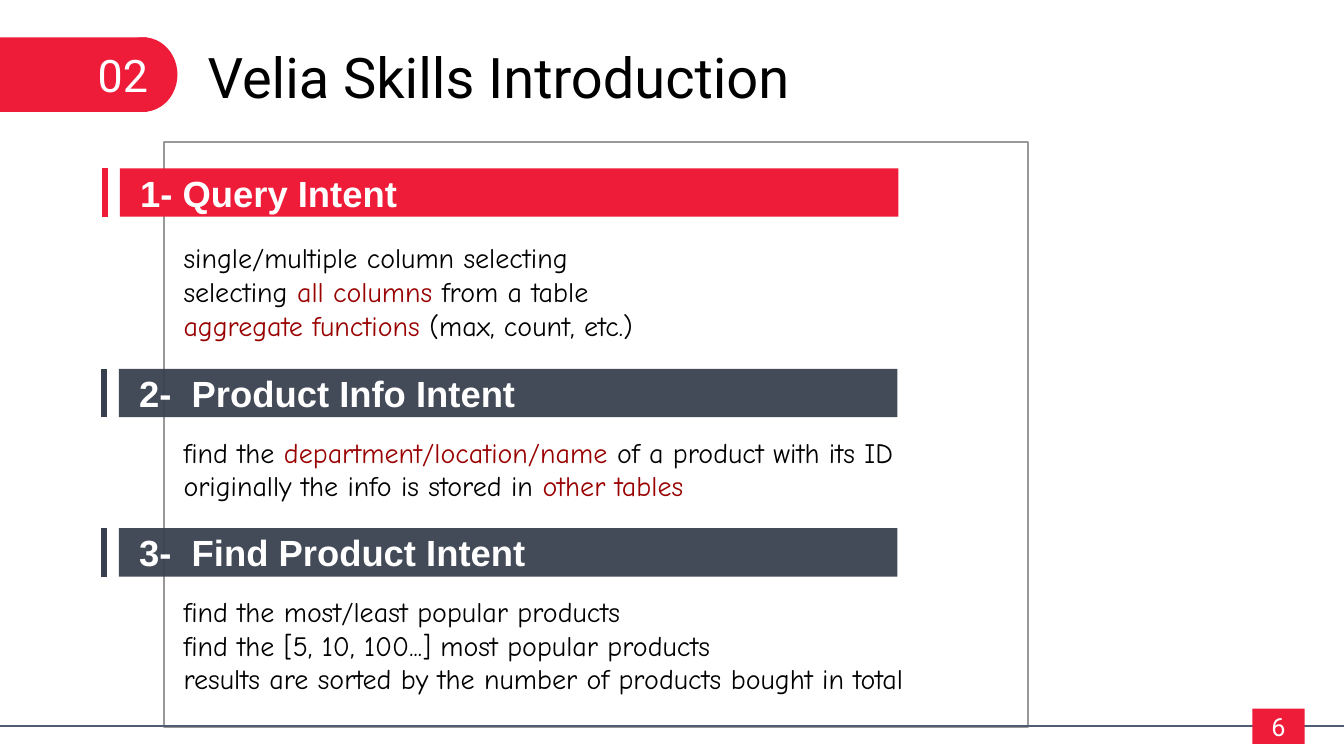
from lxml.etree import SubElement
from pptx import Presentation
from pptx.dml.color import RGBColor
from pptx.enum.shapes import MSO_CONNECTOR, MSO_SHAPE
from pptx.enum.text import MSO_ANCHOR, MSO_AUTO_SIZE, PP_ALIGN
from pptx.oxml.ns import qn
from pptx.util import Inches, Pt

RED = RGBColor(0xEE, 0x1C, 0x39)
DARK_RED = RGBColor(0x99, 0x00, 0x00)
SLATE = RGBColor(0x38, 0x3F, 0x4E)
RULE = RGBColor(0x51, 0x5C, 0x73)
GREY = RGBColor(0x99, 0x99, 0x99)
BLACK = RGBColor(0x00, 0x00, 0x00)
WHITE = RGBColor(0xFF, 0xFF, 0xFF)

SLIDE_WIDTH, SLIDE_HEIGHT = 13.33, 7.5
BAR_HEIGHT = 0.48
LIST_HEIGHT = 1.24

# Heading, bar colour, opacity in percent, bar left, bar top, list top, list width, lines of (text, colour)
INTENTS = [
    ("1- Query Intent", RED, 100, 1.19, 1.67, 2.27, 6.12, [
        [("single/multiple column selecting", BLACK)],
        [("selecting ", BLACK), ("all columns", DARK_RED), (" from a table", BLACK)],
        [("aggregate functions", DARK_RED), (" (max, count, etc.)", BLACK)],
    ]),
    ("2-  Product Info Intent", SLATE, 94, 1.18, 3.66, 4.03, 8.28, [
        [("find the ", BLACK), ("department/location/name", DARK_RED),
         (" of a product with its ID", BLACK)],
        [("originally the info is stored in", BLACK), (" other tables", DARK_RED)],
    ]),
    ("3-  Find Product Intent", SLATE, 94, 1.18, 5.24, 5.78, 8.57, [
        [("find the most/least popular products", BLACK)],
        [("find the [5, 10, 100...] most popular products", BLACK)],
        [("results are sorted by the number of products bought in total", BLACK)],
    ]),
]


class SlideBuilder:
    title_font = "Roboto"
    heading_font = "Arial"
    body_font = "Comic Neue"

    def __init__(self, slide):
        self.slide = slide

    def place(self, shape, left, top, width, height):
        shape.left, shape.top = Inches(left), Inches(top)
        shape.width, shape.height = Inches(width), Inches(height)

    def add_text(self, shape, lines, font, size, bold=False, align=PP_ALIGN.LEFT,
                 anchor=MSO_ANCHOR.MIDDLE, left_inset=0.1, inset=0.05):
        frame = shape.text_frame
        frame.word_wrap = True
        frame.auto_size = MSO_AUTO_SIZE.NONE
        frame.vertical_anchor = anchor
        frame.margin_left, frame.margin_right = Inches(left_inset), Inches(0.1)
        frame.margin_top = frame.margin_bottom = Inches(inset)
        for index, line in enumerate(lines):
            para = frame.paragraphs[0] if index == 0 else frame.add_paragraph()
            para.alignment = align
            para.line_spacing = 1.0
            para.space_before = para.space_after = Pt(0)
            for text, color in line:
                span = para.add_run()
                span.text = text
                span.font.name = font
                span.font.size = Pt(size)
                span.font.bold = bold
                span.font.color.rgb = color

    def shape(self, kind, left, top, width, height, fill=None, opacity=100):
        box = self.slide.shapes.add_shape(
            kind, Inches(left), Inches(top), Inches(width), Inches(height))
        box.shadow.inherit = False
        box.line.fill.background()
        if fill is None:
            box.fill.background()
            return box
        box.fill.solid()
        box.fill.fore_color.rgb = fill
        if opacity < 100:
            color = box._element.spPr.find(".//" + qn("a:srgbClr"))
            SubElement(color, qn("a:alpha"), val=str(opacity * 1000))
        return box

    def line(self, start, end, color, weight):
        points = [Inches(value) for value in (*start, *end)]
        connector = self.slide.shapes.add_connector(MSO_CONNECTOR.STRAIGHT, *points)
        connector.line.color.rgb = color
        connector.line.width = Pt(weight)
        SubElement(connector._element.spPr, qn("a:effectLst"))

    def title(self, text):
        title = self.slide.shapes.title
        self.place(title, 1.96, 0.37, 9.08, 0.77)
        self.add_text(title, [[(text, BLACK)]], self.title_font, 40, anchor=MSO_ANCHOR.TOP)

    def label(self, text, left, top, width, height, size):
        box = self.slide.shapes.add_textbox(
            Inches(left), Inches(top), Inches(width), Inches(height))
        self.add_text(box, [[(text, WHITE)]], self.title_font, size, anchor=MSO_ANCHOR.TOP)

    def heading(self, text, color, opacity, left, top):
        bar = self.shape(MSO_SHAPE.RECTANGLE, left, top, 7.72, BAR_HEIGHT, color, opacity)
        self.add_text(bar, [[(text, WHITE)]], self.heading_font, 26, bold=True, left_inset=0.2)
        accent = left - 0.15
        self.line((accent, top), (accent, top + BAR_HEIGHT), color, 4.5)

    def plain_list(self, placeholder, lines, top, width):
        self.place(placeholder, 1.72, top, width, LIST_HEIGHT)
        self.add_text(placeholder, lines, self.body_font, 20, inset=0.1)
        for para in placeholder.text_frame.paragraphs:
            properties = para._p.get_or_add_pPr()
            properties.set("marL", "0")
            properties.set("indent", "0")
            SubElement(properties, qn("a:buNone"))


def main():
    deck = Presentation()
    deck.slide_width, deck.slide_height = Inches(SLIDE_WIDTH), Inches(SLIDE_HEIGHT)
    page = deck.slides.add_slide(deck.slide_layouts.get_by_name("Comparison"))
    builder = SlideBuilder(page)

    # Frame and footer rule
    frame = builder.shape(MSO_SHAPE.RECTANGLE, 1.63, 1.41, 8.57, 5.8)
    frame.line.color.rgb = GREY
    frame.line.width = Pt(1.5)
    builder.line((0, 7.2), (SLIDE_WIDTH, 7.2), RULE, 1.5)

    # Section tab and title
    builder.shape(MSO_SHAPE.RECTANGLE, 0, 0.37, 1.46, 0.74, RED)
    builder.shape(MSO_SHAPE.OVAL, 1.08, 0.37, 0.68, 0.74, RED)
    builder.label("02", 0.87, 0.42, 1.25, 0.64, 32)
    builder.title("Velia Skills Introduction")

    # Page number
    badge = builder.shape(MSO_SHAPE.RECTANGLE, 12.42, 7.03, 0.52, 0.35, RED)
    builder.add_text(badge, [[("6", WHITE)]], builder.title_font, 18, align=PP_ALIGN.CENTER)

    # Intents, each a heading bar above a list
    title, *bodies = page.placeholders
    for body, intent in zip(bodies, INTENTS):
        text, color, opacity, left, bar_top, list_top, width, lines = intent
        builder.heading(text, color, opacity, left, bar_top)
        builder.plain_list(body, lines, list_top, width)

    # Unused placeholders
    for body in bodies[len(INTENTS):]:
        body._element.getparent().remove(body._element)

    deck.save("out.pptx")


if __name__ == "__main__":
    main()
